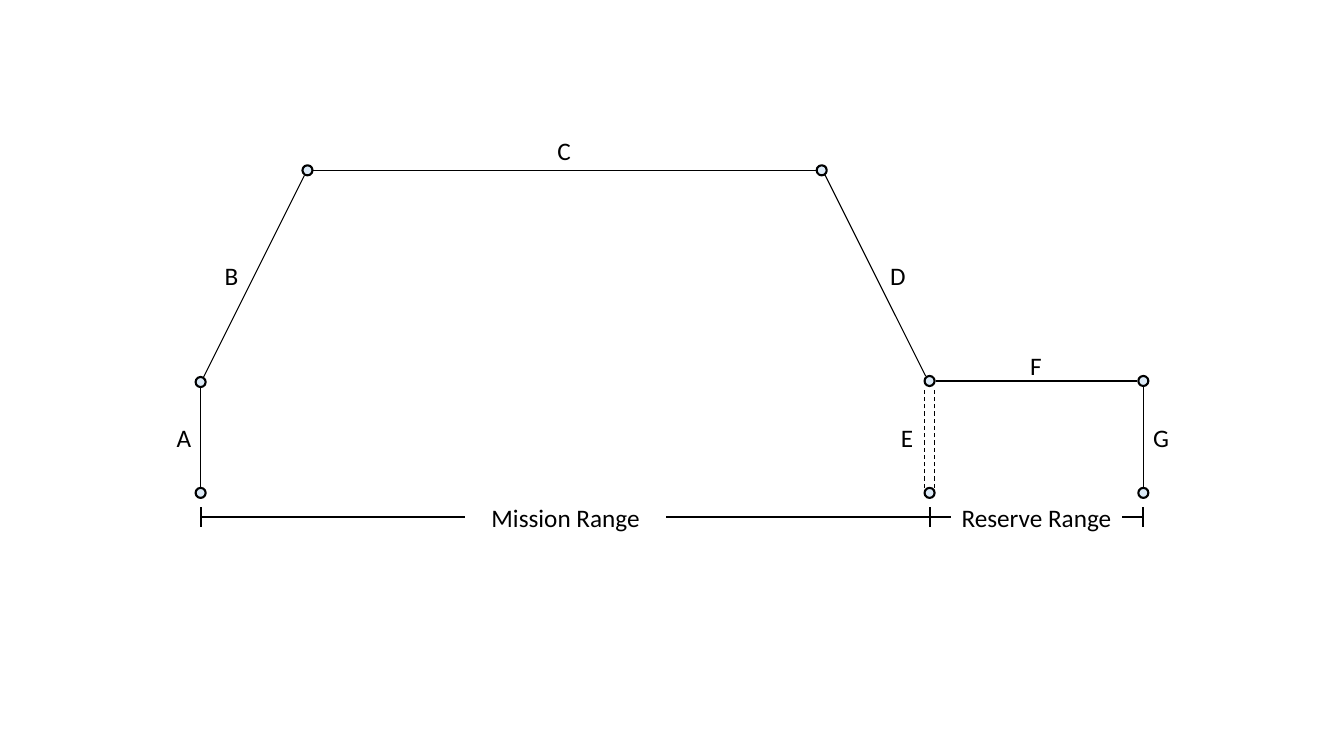
from lxml import etree
from pptx import Presentation
from pptx.dml.color import RGBColor
from pptx.enum.dml import MSO_LINE_DASH_STYLE as DASH
from pptx.enum.shapes import MSO_CONNECTOR as CONNECTOR, MSO_SHAPE as SHAPE
from pptx.enum.text import MSO_ANCHOR as ANCHOR, MSO_AUTO_SIZE as AUTO_SIZE, PP_ALIGN as ALIGN
from pptx.oxml.ns import qn
from pptx.util import Inches, Pt

BLACK = "000000"
NODE_FILL = "DCEAF7"
NODE_SIZE = 0.1
LABEL_HEIGHT = 0.4
RANGE_Y = 5.13
START_X, LANDING_X, END_X = 1.99, 9.22, 11.34


def rgb(color):
    return RGBColor.from_string(color)


def add_node(shapes, center_x, center_y):
    left, top = center_x - NODE_SIZE / 2, center_y - NODE_SIZE / 2
    node = shapes.add_shape(SHAPE.OVAL, Inches(left), Inches(top),
                            Inches(NODE_SIZE), Inches(NODE_SIZE))
    node.shadow.inherit = False
    node.fill.solid()
    node.fill.fore_color.rgb = rgb(NODE_FILL)
    node.line.color.rgb = rgb(BLACK)
    node.line.width = Pt(1.5)


def add_segment(shapes, x1, y1, x2, y2, width=0.75, dash=None):
    segment = shapes.add_connector(CONNECTOR.STRAIGHT, Inches(x1), Inches(y1),
                                   Inches(x2), Inches(y2))
    segment.line.color.rgb = rgb(BLACK)
    segment.line.width = Pt(width)
    if dash:
        segment.line.dash_style = dash
    etree.SubElement(segment._element.spPr, qn("a:effectLst"))


def add_label(shapes, text, left, top, width=0.45, size=18, color=BLACK, font="Calibri"):
    label = shapes.add_textbox(Inches(left), Inches(top), Inches(width), Inches(LABEL_HEIGHT))
    frame = label.text_frame
    frame.word_wrap = True
    frame.auto_size = AUTO_SIZE.SHAPE_TO_FIT_TEXT
    frame.vertical_anchor = ANCHOR.TOP
    paragraph = frame.paragraphs[0]
    paragraph.alignment = ALIGN.CENTER
    run = paragraph.add_run()
    run.text = text
    run.font.size = Pt(size)
    run.font.name = font
    run.font.color.rgb = rgb(color)


def add_range(shapes, text, start_x, end_x, label_left, label_width):
    add_segment(shapes, start_x, RANGE_Y, label_left, RANGE_Y, width=1.5)
    add_segment(shapes, label_left + label_width, RANGE_Y, end_x, RANGE_Y, width=1.5)
    add_label(shapes, text, label_left, RANGE_Y - LABEL_HEIGHT / 2, width=label_width)


def main():
    deck = Presentation()
    deck.slide_width, deck.slide_height = Inches(13.33), Inches(7.5)
    slide = deck.slides.add_slide(deck.slide_layouts[6])
    profile = slide.shapes.add_group_shape().shapes

    climb_and_cruise = [
        (START_X, 4.84, START_X, 3.84),
        (2.02, 3.74, 3.02, 1.74),
        (3.1, 1.69, 8.1, 1.69),
        (9.18, 3.73, 8.18, 1.73),
    ]
    reserve = [(9.28, 3.78, 11.28, 3.78), (END_X, 4.84, END_X, 3.84)]
    for ends in climb_and_cruise + reserve:
        add_segment(profile, *ends)
    for descent_x in (LANDING_X - 0.05, LANDING_X + 0.05):
        add_segment(profile, descent_x, 4.84, descent_x, 3.84, dash=DASH.DASH)

    waypoints = [
        (START_X, 4.89), (START_X, 3.79), (3.05, 1.69), (8.15, 1.69),
        (LANDING_X, 3.78), (LANDING_X, 4.89), (END_X, 3.78), (END_X, 4.89),
    ]
    for center in waypoints:
        add_node(profile, *center)

    phases = {
        "A": (1.6, 4.14), "B": (2.07, 2.53), "C": (5.37, 1.29), "D": (8.68, 2.53),
        "E": (8.77, 4.14), "F": (10.05, 3.43), "G": (11.29, 4.14),
    }
    for phase, corner in phases.items():
        add_label(profile, phase, *corner)

    for tick_x in (START_X, LANDING_X, END_X):
        add_segment(profile, tick_x, RANGE_Y - 0.1, tick_x, RANGE_Y + 0.1, width=1.5)
    add_range(profile, "Mission Range", START_X, LANDING_X, 4.61, 2)
    add_range(profile, "Reserve Range", LANDING_X, END_X, 9.43, 1.7)

    deck.save("out.pptx")


if __name__ == "__main__":
    main()
